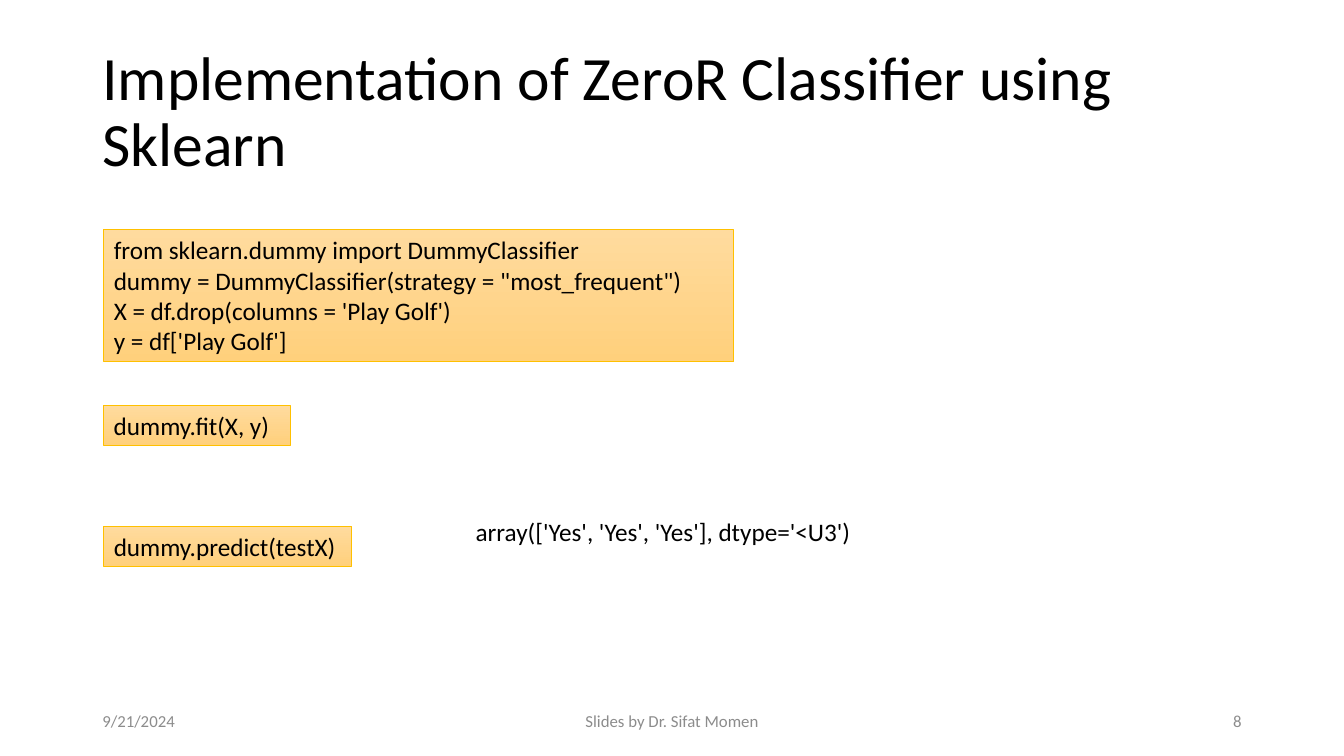
from pptx import Presentation
from pptx.dml.color import RGBColor
from pptx.enum.shapes import MSO_SHAPE as Preset
from pptx.enum.text import MSO_ANCHOR as Anchor, MSO_AUTO_SIZE as AutoSize, PP_ALIGN as Align
from pptx.util import Inches, Pt

BLACK = RGBColor(0x00, 0x00, 0x00)
GREY = RGBColor(0x8C, 0x8C, 0x8C)
GOLD = RGBColor(0xFF, 0xC0, 0x00)
LIGHT_ORANGE = RGBColor(0xFF, 0xDB, 0x9E)
DARK_ORANGE = RGBColor(0xFF, 0xD0, 0x7C)

COLUMNS, ROWS = 160, 90
MARGIN = 11
CODE_LEFT = 12.36
FOOTER_TOP, FOOTER_HEIGHT = 83.4, 4.8
LINE_HEIGHT = 4.8

SETUP_CODE = (
    "from sklearn.dummy import DummyClassifier",
    'dummy = DummyClassifier(strategy = "most_frequent")',
    "X = df.drop(columns = 'Play Golf')",
    "y = df['Play Golf']",
)


def write_text(shape, *lines, size=18, color=BLACK, font="Calibri", align=Align.LEFT,
               anchor=Anchor.TOP, spacing=None, wrap=True, fit=AutoSize.NONE):
    frame = shape.text_frame
    frame.word_wrap = wrap
    frame.auto_size = fit
    frame.vertical_anchor = anchor
    for index, line in enumerate(lines):
        paragraph = frame.add_paragraph() if index else frame.paragraphs[0]
        paragraph.alignment = align
        paragraph.line_spacing = spacing
        run = paragraph.add_run()
        run.text = line
        run.font.name = font
        run.font.size = Pt(size)
        run.font.color.rgb = color


class CodeSlide:
    def __init__(self, presentation):
        self.column = presentation.slide_width / COLUMNS
        self.row = presentation.slide_height / ROWS
        self.slide = presentation.slides.add_slide(presentation.slide_layouts.get_by_name("Title Only"))

    def area(self, left, top, width, height):
        return (round(left * self.column), round(top * self.row),
                round(width * self.column), round(height * self.row))

    def title(self, text, *place):
        shape = self.slide.shapes.title
        shape.left, shape.top, shape.width, shape.height = self.area(*place)
        write_text(shape, text, size=44, anchor=Anchor.MIDDLE, spacing=0.9)

    def label(self, text, *place, **style):
        shape = self.slide.shapes.add_textbox(*self.area(*place))
        write_text(shape, text, **style)

    def footer(self, text, left, width, align):
        self.label(text, left, FOOTER_TOP, width, FOOTER_HEIGHT,
                   size=12, color=GREY, align=align, anchor=Anchor.MIDDLE)

    def code(self, lines, top, width, height=LINE_HEIGHT):
        shape = self.slide.shapes.add_shape(
            Preset.RECTANGLE, *self.area(CODE_LEFT, top, width, height))
        shape.shadow.inherit = False
        shape.fill.gradient()
        shape.fill.gradient_angle = 270
        for stop, color in zip(shape.fill.gradient_stops, (LIGHT_ORANGE, DARK_ORANGE)):
            stop.color.rgb = color
        shape.line.color.rgb = GOLD
        shape.line.width = Pt(0.5)
        write_text(shape, *lines, fit=AutoSize.SHAPE_TO_FIT_TEXT)


def main():
    presentation = Presentation()
    presentation.slide_width = Inches(13.33)
    presentation.slide_height = Inches(7.5)

    page = CodeSlide(presentation)
    page.title("Implementation of ZeroR Classifier using Sklearn", MARGIN, 4.8, 138, 17.4)
    page.footer("9/21/2024", MARGIN, 36, Align.LEFT)
    page.footer("Slides by Dr. Sifat Momen", 53, 54, Align.CENTER)
    page.footer("8", 113, 36, Align.RIGHT)
    page.code(SETUP_CODE, 27.36, 75, 15.72)
    page.code(["dummy.fit(X, y)"], 48.24, 22.2)
    page.code(["dummy.predict(testX)"], 62.64, 29.52)
    page.label("array(['Yes', 'Yes', 'Yes'], dtype='<U3')", 55.44, 60.84, 47.52, LINE_HEIGHT,
               wrap=False, fit=AutoSize.SHAPE_TO_FIT_TEXT)

    presentation.save("out.pptx")


if __name__ == "__main__":
    main()
